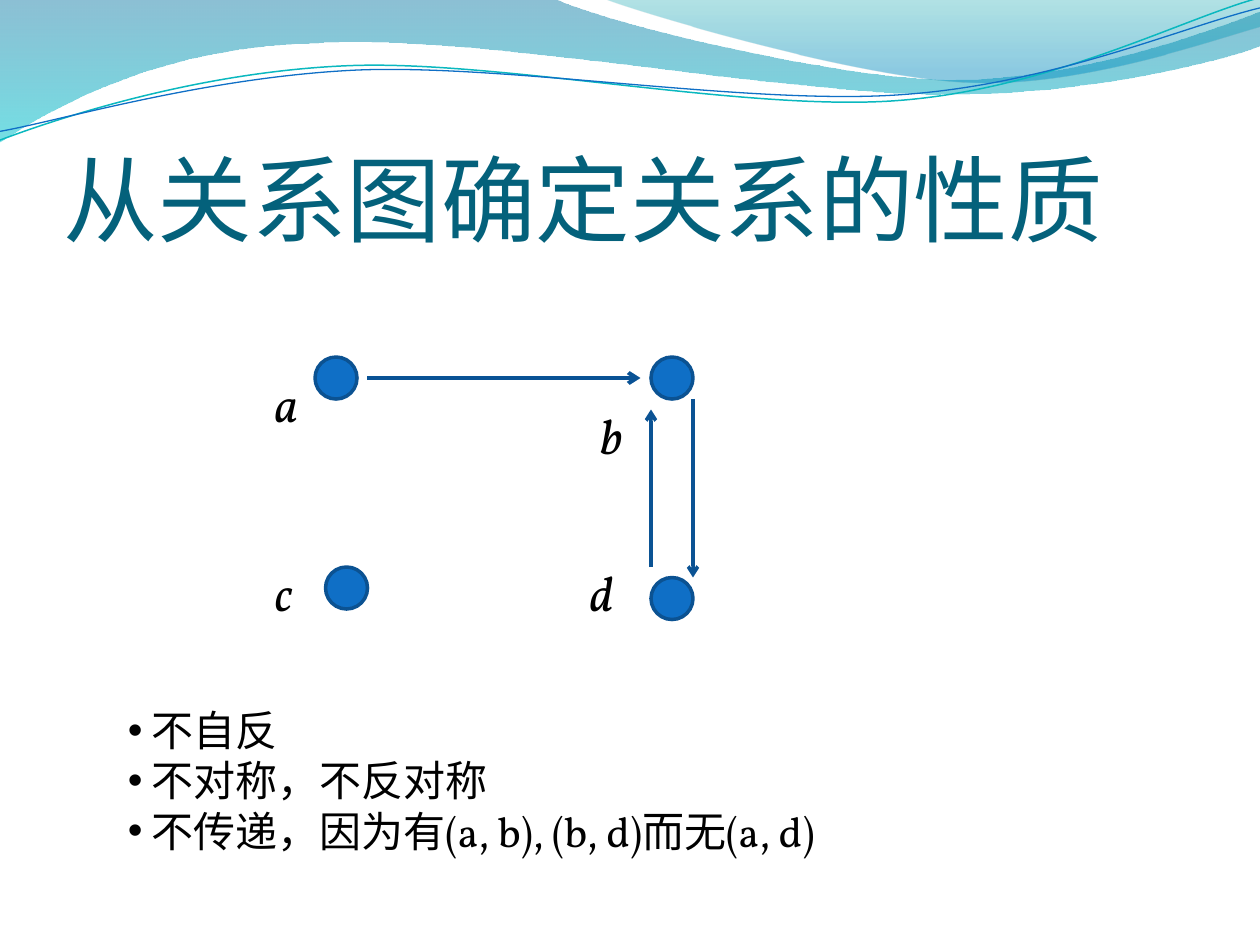
from lxml.etree import SubElement
from pptx import Presentation
from pptx.dml.color import RGBColor
from pptx.enum.shapes import MSO_CONNECTOR, MSO_SHAPE
from pptx.enum.text import MSO_ANCHOR, MSO_AUTO_SIZE, PP_ALIGN
from pptx.oxml.ns import qn
from pptx.util import Pt

BLACK = RGBColor(0x00, 0x00, 0x00)
TITLE = RGBColor(0x04, 0x61, 0x7B)
NODE = RGBColor(0x0F, 0x6F, 0xC6)
RIM = RGBColor(0x0B, 0x52, 0x92)
EDGE = RGBColor(0x0B, 0x53, 0x94)
LONG_EDGE = RGBColor(0x09, 0x52, 0x95)
TEAL = RGBColor(0x0A, 0xB8, 0xBF)
WAVE_TOP = RGBColor(0x00, 0x74, 0xA1)
WAVE_BOTTOM = RGBColor(0x00, 0xC6, 0xCF)
CREST_TOP = RGBColor(0x00, 0xA1, 0xA9)
CREST_BOTTOM = RGBColor(0x00, 0x8B, 0xBF)

SERIF = "Vollkorn"
CURVE_TILT = 357.3

# Outlines: a pair is a straight step, six numbers are a Bezier step.
WAVE = [(0, 0), (316.8, -0.7), (342.7, 12.2, 478.1, 45.4, 545.8, 45.4),
        (614.2, 45.4, 689.8, 18.7, 720, 6.5), (720.7, 25.9),
        (707.8, 31.7, 626.4, 54.7, 537.1, 54),
        (447.8, 54, 275, 20.2, 185, 24.5),
        (92.9, 25.9, 33.1, 59.8, -0.7, 81.4)]
CREST = [(344.9, -0.7), (366.5, 7.9, 491, 44.6, 553.7, 46.8),
         (616.3, 49.7, 691.9, 23, 720, 15.1), (720, 0)]
TEAL_LINE = [(-1.4, 63.1), (33.7, 51.7, 114.3, 29.4, 199.4, 30),
             (284.4, 30.5, 425.8, 67.2, 512, 64.7),
             (599.2, 62.3, 676.1, 25.9, 720.6, 15.9)]
BLUE_LINE = [(-1.1, 58.1), (33.2, 53.7, 118.2, 32.6, 204.3, 32.7),
             (290.4, 33.2, 429.1, 63.8, 515.3, 61.4),
             (601.4, 59.4, 677.9, 29.9, 721.4, 21.5)]

NODE_SIZE = 24
# name: (node left, node top, label left, label top)
NODES = {"a": (180, 204, 150, 210), "b": (372, 204, 336, 228),
         "c": (186, 324, 150, 318), "d": (372, 330, 330, 318)}
ARROWS = [(210, 216, 366, 216, LONG_EDGE, 2.25),
          (372, 324, 372, 234, EDGE, 2), (396, 228, 396, 330, EDGE, 2)]
PROPERTIES = ["不自反", "不对称，不反对称", "不传递，因为有(a, b), (b, d)而无(a, d)"]


def set_all(obj, values):
    """Set every attribute of obj that values names."""
    for name, value in values.items():
        setattr(obj, name, value)


def add_run(p, text, color, **font):
    """Add a coloured run to a paragraph."""
    r = p.add_run()
    r.text = text
    set_all(r.font, font)
    r.font.color.rgb = color


def add_outline(s, steps, close):
    """Add a freeform, joining each Bezier step's points into one curve."""
    points = [(Pt(x), Pt(y)) for step in steps
              for x, y in zip(step[::2], step[1::2])]
    builder = s.shapes.build_freeform(*points[0], scale=1.0)
    builder.add_line_segments(points[1:], close=close)
    sp = builder.convert_to_shape()
    sp.shadow.inherit = False
    segments = iter(list(sp._element.iter(qn("a:lnTo"))))
    for step in steps[1:]:
        first = next(segments)
        if len(step) == 6:
            first.tag = qn("a:cubicBezTo")
            for _ in range(2):
                segment = next(segments)
                first.append(segment[0])
                segment.getparent().remove(segment)
    return sp


def add_band(s, steps, stops):
    """Add a closed band with a translucent top-to-bottom gradient."""
    sp = add_outline(s, steps, True)
    sp.line.fill.background()
    sp.fill.gradient()
    sp.fill.gradient_angle = 270
    for stop, (position, color, _) in zip(sp.fill.gradient_stops, stops):
        stop.position = position
        stop.color.rgb = color
    colors = sp._element.spPr.iter(qn("a:srgbClr"))
    for clr, (_, _, opacity) in zip(colors, stops):
        SubElement(clr, qn("a:alpha"), val=str(opacity * 1000))


def add_curve(s, steps, color, width):
    """Add an open, slightly tilted curved line."""
    sp = add_outline(s, steps, False)
    sp.rotation = CURVE_TILT
    sp.fill.background()
    sp.line.color.rgb = color
    sp.line.width = Pt(width)


def add_node(s, left, top):
    """Add one round graph node."""
    sp = s.shapes.add_shape(MSO_SHAPE.OVAL, Pt(left), Pt(top),
                            Pt(NODE_SIZE), Pt(NODE_SIZE))
    sp.shadow.inherit = False
    sp.fill.solid()
    sp.fill.fore_color.rgb = NODE
    sp.line.color.rgb = RIM
    sp.line.width = Pt(2)


def add_arrow(s, x1, y1, x2, y2, color, width):
    """Add a directed edge."""
    c = s.shapes.add_connector(MSO_CONNECTOR.STRAIGHT,
                               Pt(x1), Pt(y1), Pt(x2), Pt(y2))
    c.line.color.rgb = color
    c.line.width = Pt(width)
    spPr = c._element.spPr
    SubElement(spPr.find(qn("a:ln")), qn("a:tailEnd"), type="arrow")
    SubElement(spPr, qn("a:effectLst"))


def add_text_frame(s, left, top, width, height):
    """Add a wrapping text box and return its text frame."""
    tf = s.shapes.add_textbox(Pt(left), Pt(top), Pt(width),
                              Pt(height)).text_frame
    set_all(tf, {"word_wrap": True,
                 "auto_size": MSO_AUTO_SIZE.SHAPE_TO_FIT_TEXT})
    return tf


def add_label(s, text, left, top):
    """Add the italic name of a node."""
    tf = add_text_frame(s, left, top, 30, 41)
    add_run(tf.paragraphs[0], text, BLACK, size=Pt(28), name=SERIF, italic=True)


def add_bullets(s, lines):
    """Add the bulleted list of properties."""
    tf = add_text_frame(s, 66, 399, 576, 94)
    for i, line in enumerate(lines):
        p = tf.add_paragraph() if i else tf.paragraphs[0]
        pPr = p._p.get_or_add_pPr()
        pPr.set("marL", str(Pt(13.4)))
        pPr.set("indent", str(-Pt(13.4)))
        SubElement(pPr, qn("a:buFont"), typeface="Arial")
        SubElement(pPr, qn("a:buChar"), char="•")
        add_run(p, line, BLACK, size=Pt(24), name=SERIF)


def set_title(s, text):
    """Place and format the title placeholder."""
    sp = s.shapes.title
    set_all(sp, {"left": Pt(36), "top": Pt(55.5),
                 "width": Pt(648), "height": Pt(90)})
    tf = sp.text_frame
    set_all(tf, {"margin_left": 0, "margin_top": Pt(3.6), "margin_right": 0,
                 "margin_bottom": 0, "vertical_anchor": MSO_ANCHOR.BOTTOM,
                 "word_wrap": True, "auto_size": MSO_AUTO_SIZE.NONE})
    p = tf.paragraphs[0]
    p.alignment = PP_ALIGN.LEFT
    add_run(p, text, TITLE, size=Pt(54), name="Calibri")


def main():
    """Build the slide and save it."""
    prs = Presentation()
    set_all(prs, {"slide_width": Pt(720), "slide_height": Pt(540)})
    s = prs.slides.add_slide(prs.slide_layouts[5])
    set_title(s, "从关系图确定关系的性质")
    add_band(s, WAVE, [(0, WAVE_TOP, 45), (1, WAVE_BOTTOM, 55)])
    add_band(s, CREST, [(0, CREST_TOP, 30), (0.8, CREST_BOTTOM, 45)])
    add_curve(s, TEAL_LINE, TEAL, 0.85)
    add_curve(s, BLUE_LINE, NODE, 0.75)
    for name, (left, top, label_left, label_top) in NODES.items():
        add_node(s, left, top)
        add_label(s, name, label_left, label_top)
    for arrow in ARROWS:
        add_arrow(s, *arrow)
    add_bullets(s, PROPERTIES)
    prs.save("out.pptx")


main()
